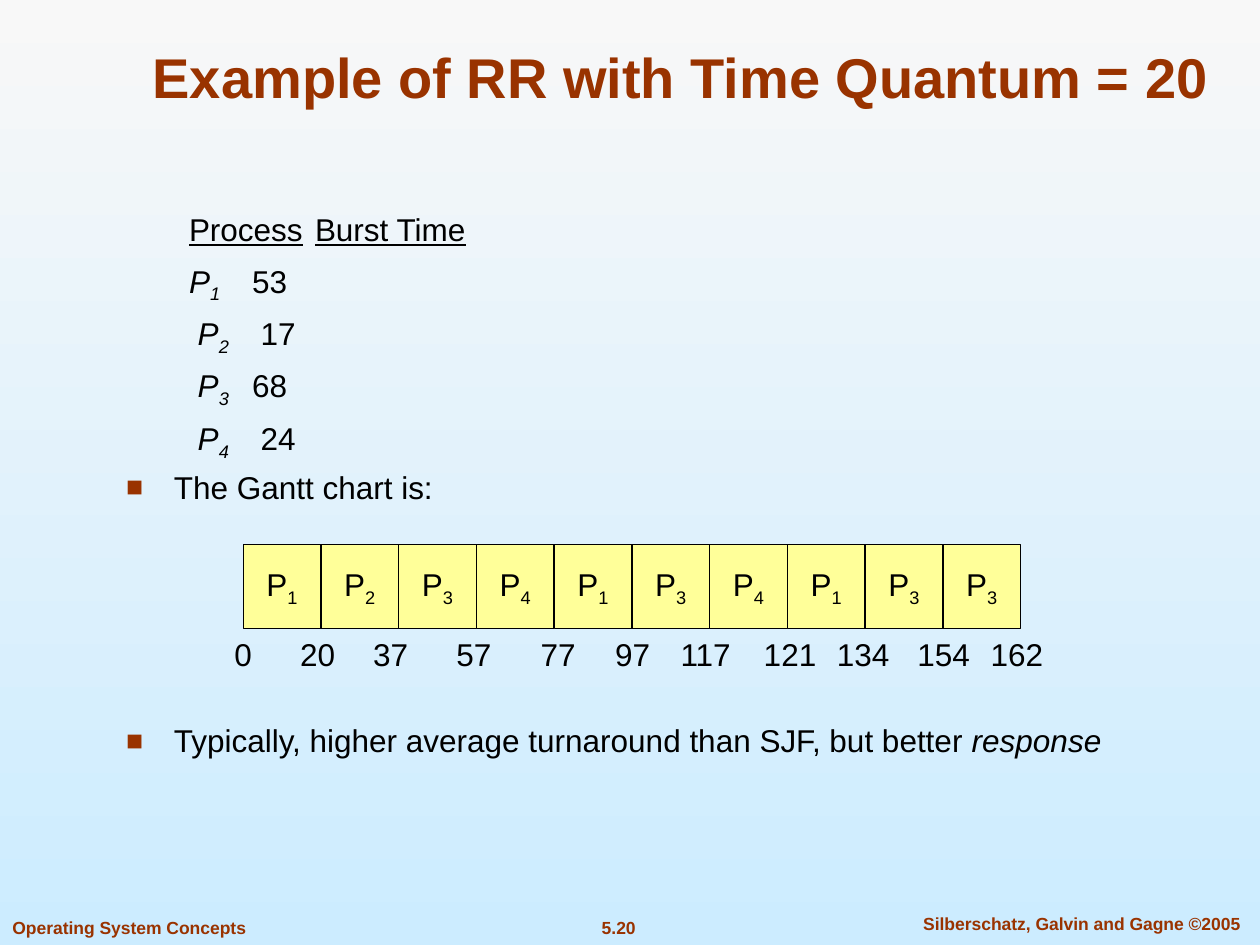
from dataclasses import dataclass

from lxml.etree import SubElement
from pptx import Presentation
from pptx.dml.color import RGBColor
from pptx.enum.shapes import MSO_SHAPE
from pptx.enum.text import MSO_ANCHOR, MSO_AUTO_SIZE, PP_ALIGN
from pptx.oxml.ns import qn
from pptx.util import Inches, Pt


@dataclass(frozen=True)
class Theme:
    font: str = "Arial"
    accent: str = "993300"
    ink: str = "000000"
    cell: str = "FFFF99"
    background_top: str = "F8F8F8"
    background_bottom: str = "CCECFF"
    title_size: int = 32
    body_size: int = 18
    footer_size: int = 10


THEME = Theme()
PROCESSES = [("P", "1", "53"), (" P", "2", " 17"), (" P", "3", "68"), (" P", "4", " 24")]
GANTT_ORDER = "1234134133"
TIME_MARKS = [
    ("0", 0), ("20", 0.59), ("37", 1.17), ("57", 1.83), ("77", 2.5), ("97", 3.09),
    ("117", 3.67), ("121", 4.34), ("134", 4.92), ("154", 5.56), ("162", 6.14),
]


def add_run(paragraph, text, size=THEME.body_size, color=THEME.ink, bold=False,
            italic=False, underline=False, subscript=False):
    run = paragraph.add_run()
    run.text = text
    run.font.name = THEME.font
    run.font.size = Pt(size)
    run.font.color.rgb = RGBColor.from_string(color)
    run.font.bold = bold
    run.font.italic = italic
    run.font.underline = underline
    if subscript:
        run._r.get_or_add_rPr().set("baseline", "-25000")


def place(shape, left, top, width, height):
    shape.left, shape.top = Inches(left), Inches(top)
    shape.width, shape.height = Inches(width), Inches(height)


def add_label(shapes, text, left, top, width, height, alignment=PP_ALIGN.CENTER, **style):
    label = shapes.add_textbox(Inches(left), Inches(top), Inches(width), Inches(height))
    label.text_frame.word_wrap = False
    paragraph = label.text_frame.paragraphs[0]
    paragraph.alignment = alignment
    add_run(paragraph, text, **style)


def set_background(slide):
    fill = slide.background.fill
    fill.gradient()
    fill.gradient_angle = 270
    colors = (THEME.background_top, THEME.background_bottom)
    for position, (stop, color) in enumerate(zip(fill.gradient_stops, colors)):
        stop.position = position
        stop.color.rgb = RGBColor.from_string(color)


def fill_title(title, left, top, width, height):
    place(title, left, top, width, height)
    frame = title.text_frame
    frame.auto_size = MSO_AUTO_SIZE.NONE
    frame.vertical_anchor = MSO_ANCHOR.BOTTOM
    paragraph = frame.paragraphs[0]
    paragraph.alignment = PP_ALIGN.CENTER
    add_run(paragraph, "Example of RR with Time Quantum = 20",
            size=THEME.title_size, color=THEME.accent, bold=True)


def start_paragraph(paragraph, space_before):
    paragraph.line_spacing = 0.9
    paragraph.space_before = Pt(space_before)
    return paragraph._p.get_or_add_pPr()


def format_row(paragraph, space_before=7.9):
    properties = start_paragraph(paragraph, space_before)
    properties.set("marL", "0")
    properties.set("indent", "0")
    SubElement(properties, qn("a:buNone"))
    tabs = SubElement(properties, qn("a:tabLst"))
    for position in (1.38, 2.38):
        SubElement(tabs, qn("a:tab"), pos=str(Inches(position)), algn="l")


def format_bullet(paragraph, space_before=7.9):
    properties = start_paragraph(paragraph, space_before)
    properties.set("marL", str(Inches(0.38)))
    properties.set("indent", str(Inches(-0.38)))
    color = SubElement(properties, qn("a:buClr"))
    SubElement(color, qn("a:srgbClr"), val=THEME.accent)
    SubElement(properties, qn("a:buSzPct"), val="90000")
    SubElement(properties, qn("a:buFont"), typeface=THEME.font)
    SubElement(properties, qn("a:buChar"), char="■")


def fill_body(body, left, top, width, height):
    place(body, left, top, width, height)
    frame = body.text_frame
    frame.auto_size = MSO_AUTO_SIZE.NONE
    heading = frame.paragraphs[0]
    format_row(heading, space_before=0)
    add_run(heading, "\t")
    add_run(heading, "Process", underline=True)
    add_run(heading, "\t")
    add_run(heading, "Burst Time", underline=True)

    for name, number, burst in PROCESSES:
        row = frame.add_paragraph()
        format_row(row)
        add_run(row, "\t" + name, italic=True)
        add_run(row, number, italic=True, subscript=True)
        add_run(row, "\t" + burst)

    chart_intro = frame.add_paragraph()
    format_bullet(chart_intro)
    add_run(chart_intro, "The Gantt chart is:")

    conclusion = frame.add_paragraph()
    format_bullet(conclusion, space_before=125.4)
    add_run(conclusion, "Typically, higher average turnaround than SJF, but better ")
    add_run(conclusion, "response", italic=True)


def add_gantt_chart(slide, left, top, width, height):
    shapes = slide.shapes.add_group_shape().shapes
    cell_width = width / len(GANTT_ORDER)
    for index, number in enumerate(GANTT_ORDER):
        cell = shapes.add_shape(
            MSO_SHAPE.RECTANGLE, Inches(left + index * cell_width), Inches(top),
            Inches(cell_width), Inches(height))
        cell.shadow.inherit = False
        cell.fill.solid()
        cell.fill.fore_color.rgb = RGBColor.from_string(THEME.cell)
        cell.line.color.rgb = RGBColor.from_string(THEME.ink)
        cell.line.width = Pt(0.75)
        cell.text_frame.word_wrap = False
        cell.text_frame.vertical_anchor = MSO_ANCHOR.MIDDLE
        paragraph = cell.text_frame.paragraphs[0]
        paragraph.alignment = PP_ALIGN.CENTER
        add_run(paragraph, "P")
        add_run(paragraph, number, subscript=True)

    for time, offset in TIME_MARKS:
        label_width = 0.2 + 0.14 * len(time)
        add_label(shapes, time, left + offset - label_width / 2, top + height,
                  label_width, 0.4)


def add_footer(slide, left, top, width, height):
    style = {"size": THEME.footer_size, "color": THEME.accent, "bold": True}
    add_label(slide.shapes, "Operating System Concepts", left, top + 0.03, 2.05, height,
              alignment=PP_ALIGN.LEFT, **style)
    add_label(slide.shapes, "5.20", left + 4.42, top + 0.03, 0.98, height, **style)
    add_label(slide.shapes, "Silberschatz, Galvin and Gagne ©2005",
              left + width - 2.9, top, 2.97, height, **style)


def main():
    presentation = Presentation()
    presentation.slide_width, presentation.slide_height = Inches(10), Inches(7.5)
    slide = presentation.slides.add_slide(presentation.slide_layouts[1])
    set_background(slide)
    fill_title(slide.shapes.title, 1, 0, 8.81, 0.92)
    fill_body(slide.placeholders[1], 0.9, 1.65, 8.04, 4.9)
    add_gantt_chart(slide, 1.93, 4.32, 6.17, 0.67)
    add_footer(slide, 0, 7.2, 10, 0.27)
    presentation.save("out.pptx")


if __name__ == "__main__":
    main()
